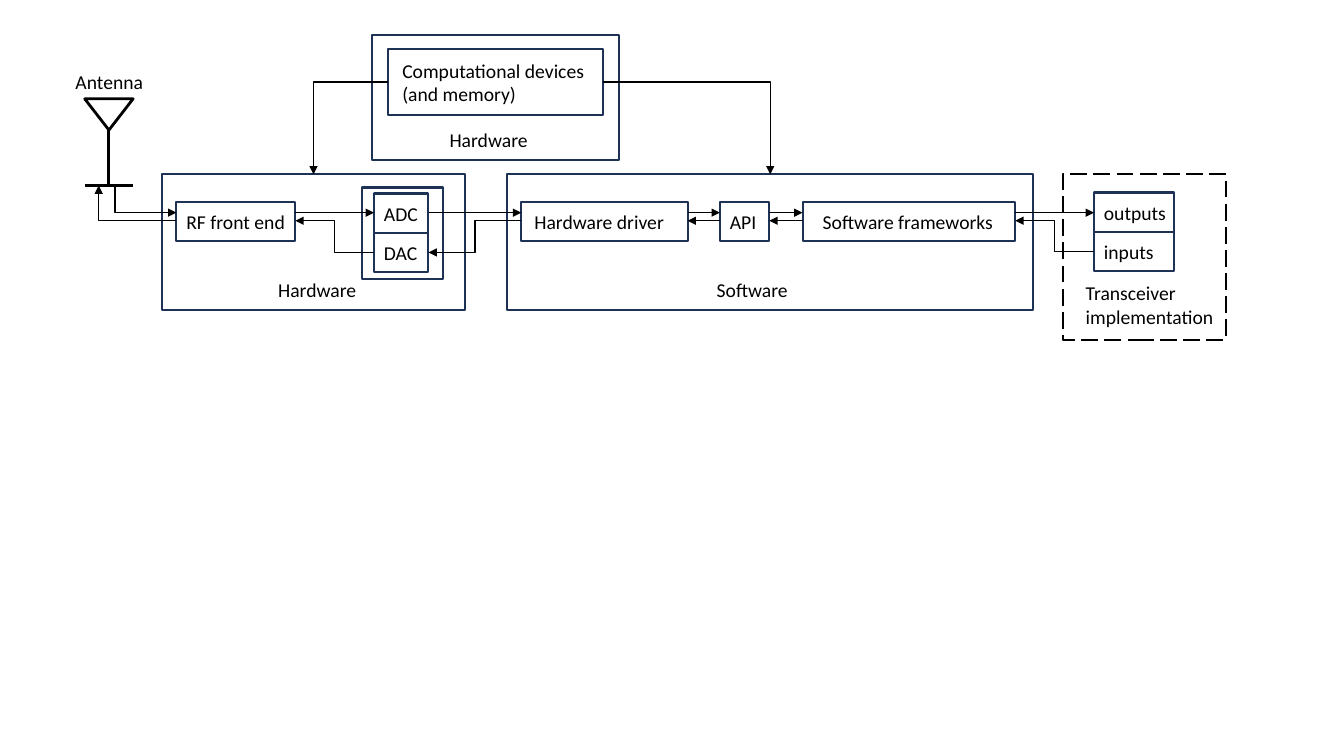
from dataclasses import dataclass

from lxml.etree import SubElement
from pptx import Presentation
from pptx.dml.color import RGBColor
from pptx.enum.dml import MSO_LINE
from pptx.enum.shapes import MSO_CONNECTOR as Link, MSO_SHAPE as Shape
from pptx.enum.text import MSO_ANCHOR as Anchor
from pptx.oxml.ns import qn
from pptx.util import Inches, Pt

COLORS = {"frame": "1E3256", "ink": "000000"}
BLOCK_H = 0.39
FORWARD_Y, BACK_Y = 2.11, 2.19


@dataclass
class Box:
    left: float
    top: float
    width: float
    height: float

    @property
    def right(self):
        return self.left + self.width

    @property
    def center(self):
        return self.left + self.width / 2

    @property
    def middle(self):
        return self.top + self.height / 2

    def inside(self, dx, dy, width, height=BLOCK_H):
        return Box(self.left + dx, self.top + dy, width, height)

    def emu(self):
        return [Inches(v) for v in (self.left, self.top, self.width, self.height)]


def color(name):
    return RGBColor.from_string(COLORS[name])


def write(frame, text):
    frame.word_wrap = True
    frame.text = text
    font = frame.paragraphs[0].font
    font.name, font.size, font.color.rgb = "Calibri", Pt(14), color("ink")


def label(slide, box, text):
    write(slide.shapes.add_textbox(*box.emu()).text_frame, text)


def outline(slide, box, text="", inset=0.1, stroke="frame", weight=1.5, kind=Shape.RECTANGLE):
    shape = slide.shapes.add_shape(kind, *box.emu())
    shape.shadow.inherit = False
    shape.fill.background()
    shape.line.color.rgb, shape.line.width = color(stroke), Pt(weight)
    if text:
        frame = shape.text_frame
        frame.vertical_anchor = Anchor.MIDDLE
        frame.margin_left, frame.margin_right = Inches(inset), 0
        write(frame, text)
        frame.paragraphs[0].alignment = 1
    return shape


def connect(slide, start, end, kind=Link.STRAIGHT, weight=1, arrow="tailEnd", corner=False):
    """Draw a line; corner means one bend, horizontal from start and vertical into end."""
    line = slide.shapes.add_connector(kind, *(Inches(v) for v in (*start, *end)))
    line.line.color.rgb, line.line.width = color("ink"), Pt(weight)
    properties = line._element.spPr
    if arrow:
        SubElement(properties.find(qn("a:ln")), qn(f"a:{arrow}"), type="triangle")
    if corner:
        properties.find(qn("a:prstGeom")).set("prst", "bentConnector2")
    SubElement(properties, qn("a:effectLst"))


def antenna(slide, box):
    label(slide, Box(box.left - 0.19, box.top - 0.34, 1.18, 0.34), "Antenna")
    horn = box.inside(0, 0, box.width, 0.31)
    triangle = outline(slide, horn, stroke="ink", weight=2, kind=Shape.ISOSCELES_TRIANGLE)
    triangle.rotation = 180
    base = box.top + box.height
    for start, end in (((box.center, horn.top + horn.height), (box.center, base)),
                       ((box.left, base), (box.right, base))):
        connect(slide, start, end, weight=2, arrow=None)


def computing(slide, box):
    outline(slide, box)
    devices = box.inside(0.16, 0.14, 2.13, 0.65)
    outline(slide, devices, "Computational devices (and memory)", 0.14)
    label(slide, box.inside(0.67, 0.87, 1.39, 0.34), "Hardware")
    return devices


def radio_hardware(slide, box):
    outline(slide, box)
    front_end = box.inside(0.14, 0.27, 1.18)
    outline(slide, front_end, "RF front end")
    converters = box.inside(1.98, 0.13, 0.8, 0.91)
    outline(slide, converters)
    adc, dac = (converters.inside(0.12, 0.06 + row * BLOCK_H, 0.54) for row in range(2))
    outline(slide, adc, "ADC")
    outline(slide, dac, "DAC")
    label(slide, box.inside(1.05, 0.98, 1.39, 0.34), "Hardware")
    return front_end, adc, dac


def software(slide, box):
    outline(slide, box)
    blocks = []
    for text, dx, width, inset in (("Hardware driver", 0.14, 1.65, 0.13),
                                   ("API", 2.11, 0.49, 0.1),
                                   ("Software frameworks", 2.93, 2.11, 0.2)):
        blocks.append(box.inside(dx, 0.27, width))
        outline(slide, blocks[-1], text, inset)
    for block, following in zip(blocks, blocks[1:]):
        connect(slide, (block.right, FORWARD_Y), (following.left, FORWARD_Y))
        connect(slide, (following.left, BACK_Y), (block.right, BACK_Y))
    label(slide, box.inside(1.98, 0.98, 1.39, 0.34), "Software")
    return blocks[0], blocks[-1]


def transceiver(slide, box):
    outline(slide, box, stroke="ink").line.dash_style = MSO_LINE.LONG_DASH
    outputs, inputs = (box.inside(0.31, 0.18 + row * BLOCK_H, 0.79) for row in range(2))
    outline(slide, outputs, "outputs")
    outline(slide, inputs, "inputs")
    label(slide, box.inside(0.13, 1.01, 1.91, 0.57), "Transceiver implementation")
    return outputs, inputs


def main():
    deck = Presentation()
    deck.slide_width, deck.slide_height = Inches(13.33), Inches(7.5)
    slide = deck.slides.add_slide(deck.slide_layouts[6])

    mast = Box(0.84, 0.98, 0.48, 0.86)
    radio = Box(1.61, 1.73, 3, 1.35)
    program = Box(5.03, 1.73, 5.22, 1.35)
    antenna(slide, mast)
    devices = computing(slide, Box(3.69, 0.35, 2.45, 1.24))
    front_end, adc, dac = radio_hardware(slide, radio)
    driver, frameworks = software(slide, program)
    outputs, inputs = transceiver(slide, Box(10.54, 1.73, 1.62, 1.64))

    for source, target in ((front_end, adc), (adc, driver), (frameworks, outputs)):
        connect(slide, (source.right, FORWARD_Y), (target.left, FORWARD_Y))
    for start, end in (((driver.left, BACK_Y), (dac.right, dac.middle)),
                       ((dac.left, dac.middle), (front_end.right, BACK_Y)),
                       ((inputs.left, inputs.middle), (frameworks.right, BACK_Y))):
        connect(slide, start, end, Link.ELBOW)

    foot = mast.top + mast.height
    for start, end, arrow in (
            ((front_end.left, BACK_Y), (mast.left + 0.14, foot), "tailEnd"),
            ((front_end.left, FORWARD_Y), (mast.left + 0.3, foot), "headEnd"),
            ((devices.left, devices.middle), (radio.center, radio.top), "tailEnd"),
            ((devices.right, devices.middle), (program.center, program.top), "tailEnd")):
        connect(slide, start, end, Link.ELBOW, arrow=arrow, corner=True)

    deck.save("out.pptx")


if __name__ == "__main__":
    main()
